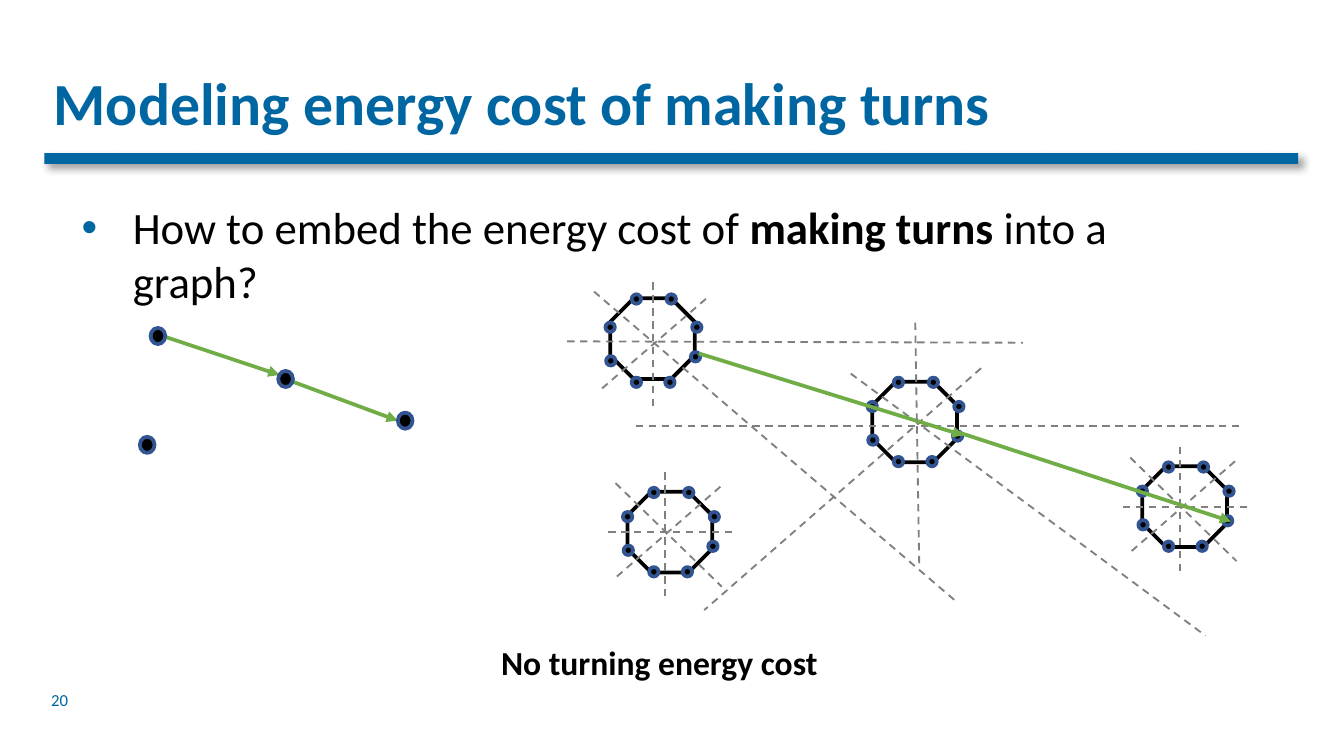
from lxml import etree
from pptx import Presentation
from pptx.dml.color import RGBColor
from pptx.enum.dml import MSO_LINE
from pptx.enum.shapes import MSO_CONNECTOR, MSO_SHAPE
from pptx.enum.text import MSO_ANCHOR, MSO_AUTO_SIZE, PP_ALIGN
from pptx.oxml.ns import qn
from pptx.util import Inches, Pt

STRAIGHT, DASH = MSO_CONNECTOR.STRAIGHT, MSO_LINE.DASH
RECT, OVAL, OCTAGON = MSO_SHAPE.RECTANGLE, MSO_SHAPE.OVAL, MSO_SHAPE.OCTAGON
TOP, MIDDLE, LEFT = MSO_ANCHOR.TOP, MSO_ANCHOR.MIDDLE, PP_ALIGN.LEFT
FIXED, GROW = MSO_AUTO_SIZE.NONE, MSO_AUTO_SIZE.SHAPE_TO_FIT_TEXT
COLS, ROWS = 100, 56.25
COLORS = {"accent": "0066A1", "ink": "000000", "paper": "FFFFFF",
          "ring": "325491", "route": "70AD47", "axis": "808080"}

PORTS = [(6, 3.7), (6.1, 1.5), (4.1, 5.6), (4.2, -0.3),
         (1.6, -0.3), (-0.35, 1.5), (-0.3, 4), (1.6, 5.6)]
SHORT_AXES = [(-0.9, -0.65, 7, 7.05), (-0.8, 6.3, 7.15, -0.6),
              (-1.45, 3, 7.95, 3), (2.8, -1.45, 2.8, 7.95)]
FIRST_AXES = [(-0.6, 6.7, 7.4, -0.2), (3.2, -1.2, 3.2, 8.2)]
MIDDLE_AXES = [(-1.6, -0.6, 24.8, 18.9), (-17.6, 3.3, 27.3, 3.3),
               (8.1, -1, -12.5, 17)]
CLUSTERS = [(45.4, 22.2, FIRST_AXES, 0.3), (46.7, 36.6, SHORT_AXES, 0),
            (64.9, 28.4, MIDDLE_AXES, 0), (85, 34.7, SHORT_AXES, 0)]
LONG_AXES = [(44.2, 21.7, 71.2, 44.8), (42.2, 25.4, 76.1, 25.5),
             (68.1, 24, 68.4, 42.2)]
POINT_ROUTES = [(20.7, 28, 29.6, 31.3), (12.4, 25.1, 20.8, 27.9)]
CLUSTER_ROUTES = [(71.4, 32.2, 91.6, 38.8), (52, 26.3, 71.7, 32.4)]
POINTS = [(11.2, 24.4), (20.7, 27.6), (10.4, 32.5), (29.6, 30.7)]


class Deck:
    """Draws styled elements on the current slide, measured in grid columns and rows."""

    def __init__(self):
        self.prs = Presentation()
        self.prs.slide_width, self.prs.slide_height = Inches(10), Inches(5.625)
        self.s = self.prs.slides.add_slide(self.prs.slide_layouts[5])

    def grid(self, *values):
        units = self.prs.slide_width / COLS, self.prs.slide_height / ROWS
        return [round(v * units[i % 2]) for i, v in enumerate(values)]

    def color(self, name):
        return RGBColor.from_string(COLORS[name])

    def fill_text(self, sp, runs, size, color="ink", **frame):
        tf = sp.text_frame
        for name, value in frame.items():
            setattr(tf, name, value)
        p = tf.paragraphs[0]
        p.alignment = LEFT
        for text, bold in runs:
            r = p.add_run()
            r.text = text
            style = {"name": "Calibri", "size": Pt(size), "bold": bold}
            for name, value in style.items():
                setattr(r.font, name, value)
            r.font.color.rgb = self.color(color)
        return p

    def title(self, box, text):
        sp = self.s.shapes.title
        sp.left, sp.top, sp.width, sp.height = self.grid(*box)
        margins = {f"margin_{side}": Inches(0.07)
                   for side in ("left", "top", "right", "bottom")}
        p = self.fill_text(sp, [(text, True)], 32, "accent", vertical_anchor=MIDDLE,
                           auto_size=FIXED, word_wrap=True, **margins)
        p.line_spacing = 0.9

    def text(self, box, runs, size, color="ink", **frame):
        sp = self.s.shapes.add_textbox(*self.grid(*box))
        return self.fill_text(sp, runs, size, color, **frame)

    def bullet(self, box, runs, size):
        p = self.text(box, runs, size, word_wrap=True, auto_size=GROW,
                      vertical_anchor=TOP)
        pPr = p._p.get_or_add_pPr()
        pPr.set("marL", str(Inches(0.38)))
        pPr.set("indent", str(Inches(-0.38)))
        clr = etree.SubElement(pPr, qn("a:buClr"))
        etree.SubElement(clr, qn("a:srgbClr"), val=COLORS["accent"])
        etree.SubElement(pPr, qn("a:buFont"), typeface="Arial")
        etree.SubElement(pPr, qn("a:buChar"), char="•")

    def shape(self, kind, box, fill, line=None):
        sp = self.s.shapes.add_shape(kind, *self.grid(*box))
        sp.shadow.inherit = False
        sp.fill.solid()
        sp.fill.fore_color.rgb = self.color(fill)
        if line:
            sp.line.color.rgb = self.color(line)
            sp.line.width = Pt(2)
        else:
            sp.line.fill.background()
        return sp

    def rule(self, box):
        sp = self.shape(RECT, box, "accent")
        effects = sp._element.spPr.find(qn("a:effectLst"))
        shadow = etree.SubElement(effects, qn("a:outerShdw"), blurRad=str(Pt(4)),
                                  dist=str(Pt(3)), dir="2700000", rotWithShape="0")
        clr = etree.SubElement(shadow, qn("a:srgbClr"), val=COLORS["ink"])
        etree.SubElement(clr, qn("a:alpha"), val="40000")

    def node(self, x, y, w, h):
        self.shape(OVAL, (x, y, w, h), "ink", "ring")

    def line(self, ends, color, width):
        cn = self.s.shapes.add_connector(STRAIGHT, *self.grid(*ends))
        cn.line.color.rgb = self.color(color)
        cn.line.width = Pt(width)
        etree.SubElement(cn._element.spPr, qn("a:effectLst"))
        return cn

    def axis(self, ends):
        self.line(ends, "axis", 1).line.dash_style = DASH

    def route(self, ends):
        ln = self.line(ends, "route", 2)._element.spPr.find(qn("a:ln"))
        etree.SubElement(ln, qn("a:tailEnd"), type="triangle")

    def cluster(self, x, y, axes, stretch):
        self.shape(OCTAGON, (x, y, 6.3, 6), "paper", "ink")
        for x1, y1, x2, y2 in axes:
            self.axis((x + x1, y + y1, x + x2, y + y2))
        for dx, dy in PORTS:
            self.node(x + dx, y + dy + (stretch if dy > 0 else 0), 0.7, 0.7)


def main():
    deck = Deck()
    deck.text((3.1, 50.6, 16.9, 3), [("20", False)], 9, "accent", word_wrap=True,
              vertical_anchor=MIDDLE, margin_left=Inches(0.07),
              margin_top=Inches(0.04), margin_bottom=Inches(0.04))
    deck.rule((3.3, 11.4, 93.3, 0.8))
    deck.title((3.3, 4.6, 93.3, 6.6), "Modeling energy cost of making turns")
    for ends in POINT_ROUTES:
        deck.route(ends)
    for x, y in POINTS:
        deck.node(x, y, 1.1, 1.2)
    for cluster in CLUSTERS:
        deck.cluster(*cluster)
    for ends in CLUSTER_ROUTES:
        deck.route(ends)
    for ends in LONG_AXES:
        deck.axis(ends)
    deck.bullet((5.1, 14.4, 87.3, 5),
                [("How to embed the energy cost of ", False),
                 ("making turns ", True), ("into a graph?", False)], 24)
    deck.text((36.3, 47.3, 25.8, 4), [("No turning energy cost", True)], 18,
              word_wrap=False, auto_size=GROW)
    deck.prs.save("out.pptx")


if __name__ == "__main__":
    main()
